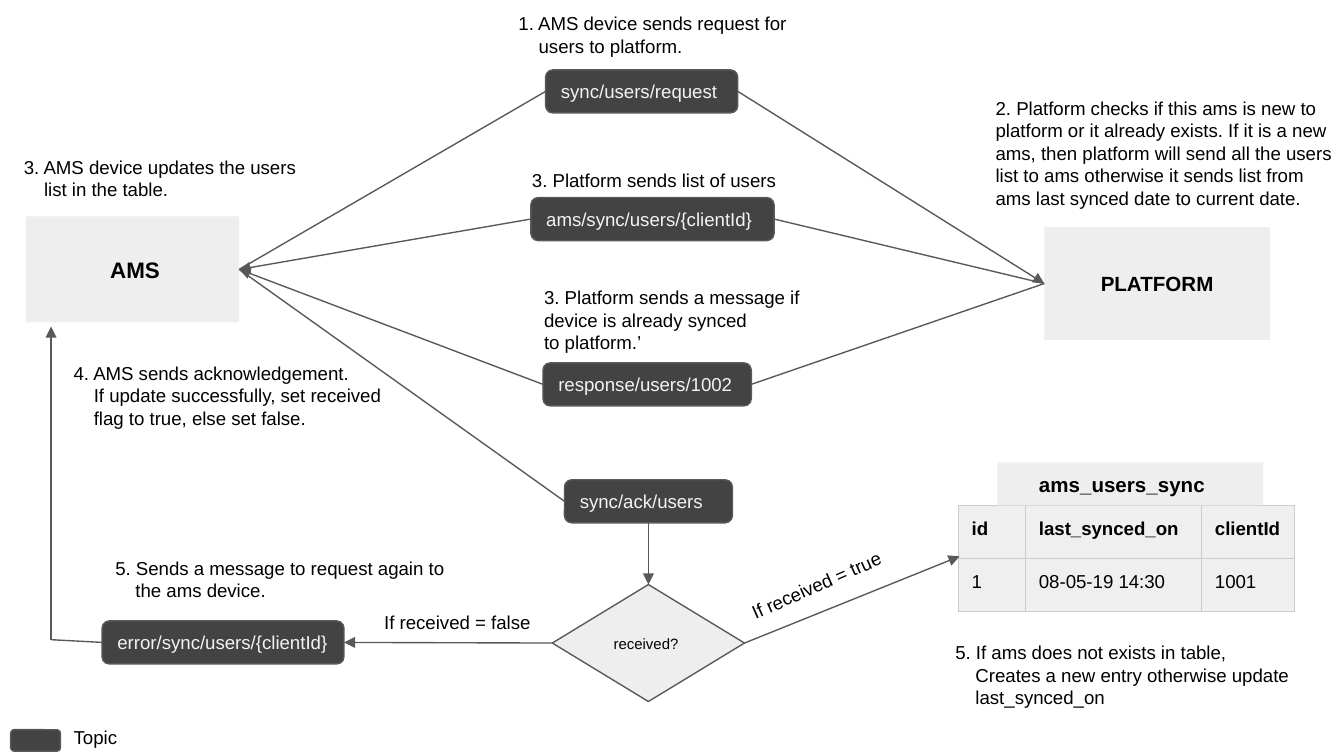
"""Build the user sync flow slide."""
from pptx import Presentation
from pptx.dml.color import RGBColor
from pptx.enum.shapes import MSO_CONNECTOR, MSO_SHAPE
from pptx.enum.text import MSO_ANCHOR, PP_ALIGN
from pptx.oxml.ns import qn
from pptx.util import Inches, Pt
from lxml.etree import SubElement

THEME = dict(font="Arial", ink="000000", dark="434343", pale="F3F3F3", box="EEEEEE",
             cell="EFEFEF", edge="595959", grid="CCCCCC",
             text=10, name=12, head=11, small=8, line=0.75)
PAD, STEP = 0.1, 0.15
TOP, LEFT, BOTTOM, RIGHT = range(4)

TOPICS = {
    "request": ("sync/users/request", 4.06, 0.52, 1.43),
    "list": ("ams/sync/users/{clientId}", 3.95, 1.47, 1.81),
    "reply": ("response/users/1002", 4.04, 2.7, 1.55),
    "ack": ("sync/ack/users", 4.2, 3.57, 1.25),
    "error": ("error/sync/users/{clientId}", 0.76, 4.62, 1.8),
}
BOXES = {
    "ams": (" AMS", "name", 0.19, 1.61, 1.59, 0.79),
    "platform": ("PLATFORM", "head", 7.77, 1.69, 1.68, 0.84),
}
NOTES = [
    (["1. AMS device sends request for", "users to platform."], 3.76, -0.01, 2.74, STEP, 0),
    (["2. Platform checks if this ams is new to platform or it already exists. "
      "If it is a new ams, then platform will send all the users list to ams "
      "otherwise it sends list from ams last synced date to current date."],
     7.31, 0.62, 2.74, 0, 0),
    (["3. AMS device updates the users", "list in the table."], 0.08, 1.06, 2.74, STEP, 0),
    (["3. Platform sends list of users"], 3.86, 1.17, 2.74, 0, 0),
    (["3. Platform sends a message if", "device is already synced", "to platform.’"],
     3.95, 2.03, 2.74, 0, 0),
    (["4. AMS sends acknowledgement.", "If update successfully, set received",
      "flag to true, else set false."], 0.45, 2.59, 2.74, STEP, 0),
    (["5. Sends a message to request again to", "the ams device."],
     0.76, 4.04, 2.74, STEP, 0),
    (["5. If ams does not exists in table,", "Creates a new entry otherwise update",
      "last_synced_on"], 7.01, 4.67, 2.74, STEP, 0),
    (["If received = true"], 5.46, 4.09, 1.68, 0, 336.2),
    (["If received = false"], 2.76, 4.46, 1.68, 0, 0),
    (["Topic"], 0.45, 5.32, 0.65, 0, 0),
]
ROWS = [["id", "last_synced_on", "clientId"], ["1", "08-05-19 14:30", "1001"]]
COLS = [0.5, 1.31, 0.69]
LINKS = [
    (("ams", RIGHT), ("request", LEFT), False),
    (("request", RIGHT), ("platform", LEFT), True),
    (("list", LEFT), ("ams", RIGHT), True),
    (("list", RIGHT), ("platform", LEFT), False),
    (("reply", LEFT), ("ams", RIGHT), True),
    (("reply", RIGHT), ("platform", LEFT), False),
    (("ams", RIGHT), ("ack", LEFT), False),
    (("ack", BOTTOM), ("check", TOP), True),
    (("check", RIGHT), (7.14, 4.14), True),
    (("check", LEFT), ("error", RIGHT), True),
    ((0.38, 4.76), ("error", LEFT), False),
    ((0.38, 4.76), (0.38, 2.43), True),
]


def color(key):
    return RGBColor.from_string(THEME[key])


def write(frame, lines, size="text", ink="ink", bold=False, align=PP_ALIGN.LEFT, hang=0):
    frame.word_wrap = True
    frame.margin_left = frame.margin_right = Inches(PAD)
    frame.margin_top = frame.margin_bottom = Inches(PAD)
    frame.text = "\n".join(lines)
    for i, para in enumerate(frame.paragraphs):
        para.alignment = align
        font = para.font
        font.name, font.size, font.bold = THEME["font"], Pt(THEME[size]), bold
        font.color.rgb = color(ink)
        if i and hang:
            para._p.get_or_add_pPr().set("marL", str(Inches(hang)))


def block(slide, kind, place, fill, edge=False):
    shape = slide.shapes.add_shape(kind, *map(Inches, place))
    shape.shadow.inherit = False
    shape.fill.solid()
    shape.fill.fore_color.rgb = color(fill)
    if edge:
        shape.line.color.rgb = color("edge")
        shape.line.width = Pt(THEME["line"])
    else:
        shape.line.fill.background()
    shape.text_frame.vertical_anchor = MSO_ANCHOR.MIDDLE
    return shape


def link(slide, nodes, start, end, arrow):
    free = [(0, 0) if p[0] in nodes else p for p in (start, end)]
    wire = slide.shapes.add_connector(
        MSO_CONNECTOR.STRAIGHT, *map(Inches, free[0] + free[1]))
    for spot, join in ((start, wire.begin_connect), (end, wire.end_connect)):
        if spot[0] in nodes:
            join(nodes[spot[0]], spot[1])
    wire.line.color.rgb = color("edge")
    wire.line.width = Pt(THEME["line"])
    if arrow:
        SubElement(wire.line._get_or_add_ln(), qn("a:tailEnd"), type="triangle")
    SubElement(wire._element.spPr, qn("a:effectLst"))


def border(cell):
    props = cell._tc.get_or_add_tcPr()
    for i, side in enumerate(("lnL", "lnR", "lnT", "lnB")):
        line = props.makeelement(qn("a:" + side), {"w": str(Pt(THEME["line"]))})
        fill = SubElement(line, qn("a:solidFill"))
        SubElement(fill, qn("a:srgbClr"), val=THEME["grid"])
        props.insert(i, line)


def grid(slide):
    place = map(Inches, (7.13, 3.76, sum(COLS), 0.79))
    table = slide.shapes.add_table(len(ROWS), len(COLS), *place).table
    for col, width in zip(table.columns, COLS):
        col.width = Inches(width)
    for r, row in enumerate(ROWS):
        for c, text in enumerate(row):
            cell = table.cell(r, c)
            cell.margin_left = cell.margin_right = Inches(PAD)
            cell.margin_top = cell.margin_bottom = Inches(PAD)
            cell.fill.solid()
            cell.fill.fore_color.rgb = color("cell")
            write(cell.text_frame, [text], bold=r == 0)
            border(cell)


def main():
    deck = Presentation()
    deck.slide_width = Inches(10)
    deck.slide_height = deck.slide_width * 9 // 16
    slide = deck.slides.add_slide(deck.slide_layouts[6])
    nodes = {}
    for key, (text, size, *place) in BOXES.items():
        nodes[key] = block(slide, MSO_SHAPE.RECTANGLE, place, "box")
        write(nodes[key].text_frame, [text], size, bold=True, align=PP_ALIGN.CENTER)
    for key, (text, left, top, width) in TOPICS.items():
        place = left, top, width, 0.32
        nodes[key] = block(slide, MSO_SHAPE.ROUNDED_RECTANGLE, place, "dark", True)
        write(nodes[key].text_frame, [text], ink="pale")
    block(slide, MSO_SHAPE.ROUNDED_RECTANGLE, (0.08, 5.43, 0.37, 0.16), "dark", True)
    nodes["check"] = block(slide, MSO_SHAPE.DIAMOND, (4.11, 4.35, 1.43, 0.87), "box", True)
    write(nodes["check"].text_frame, ["received?"], "small")
    grid(slide)
    head = block(slide, MSO_SHAPE.RECTANGLE, (7.42, 3.44, 1.98, 0.32), "box")
    write(head.text_frame, ["ams_users_sync"], "head", bold=True)
    head.text_frame.margin_left = Inches(0.31)
    for ends in LINKS:
        link(slide, nodes, *ends)
    for lines, left, top, width, hang, turn in NOTES:
        note = slide.shapes.add_textbox(*map(Inches, (left, top, width, 0.44)))
        note.rotation = turn
        write(note.text_frame, lines, hang=hang)
    deck.save("out.pptx")


if __name__ == "__main__":
    main()
